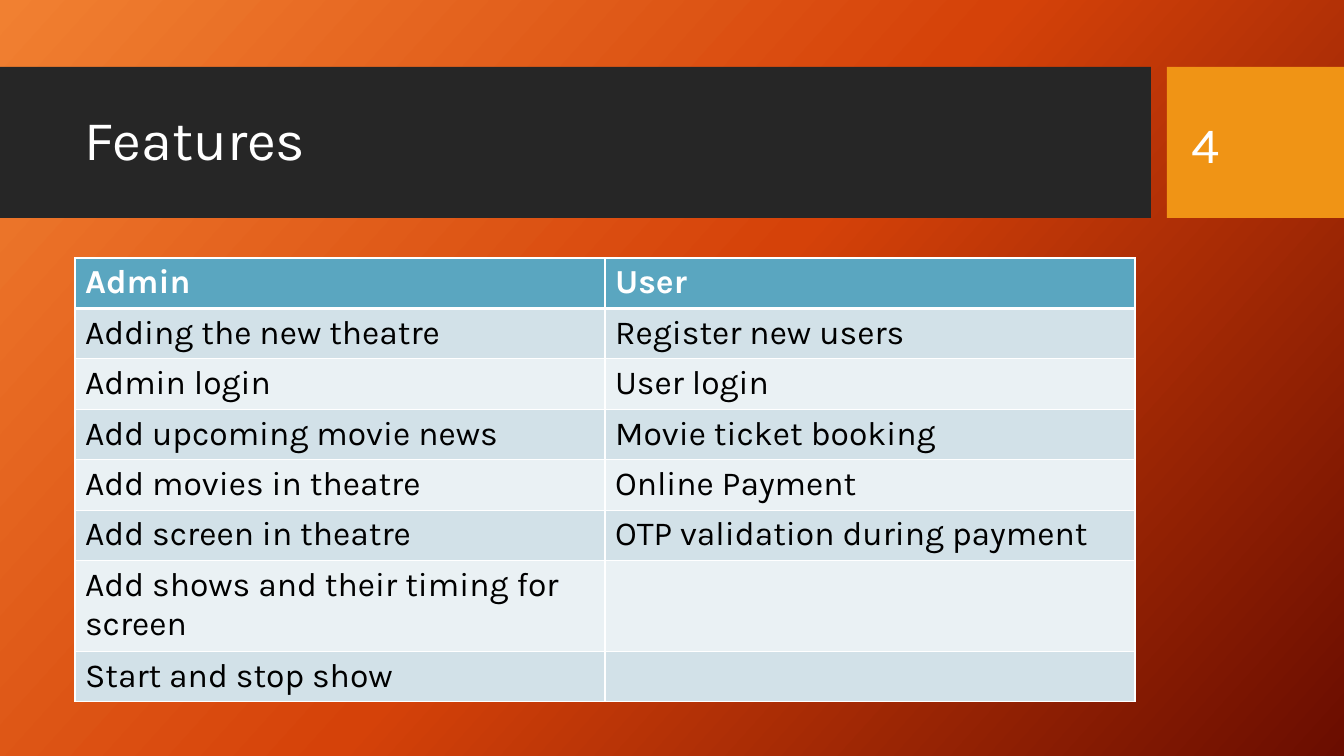
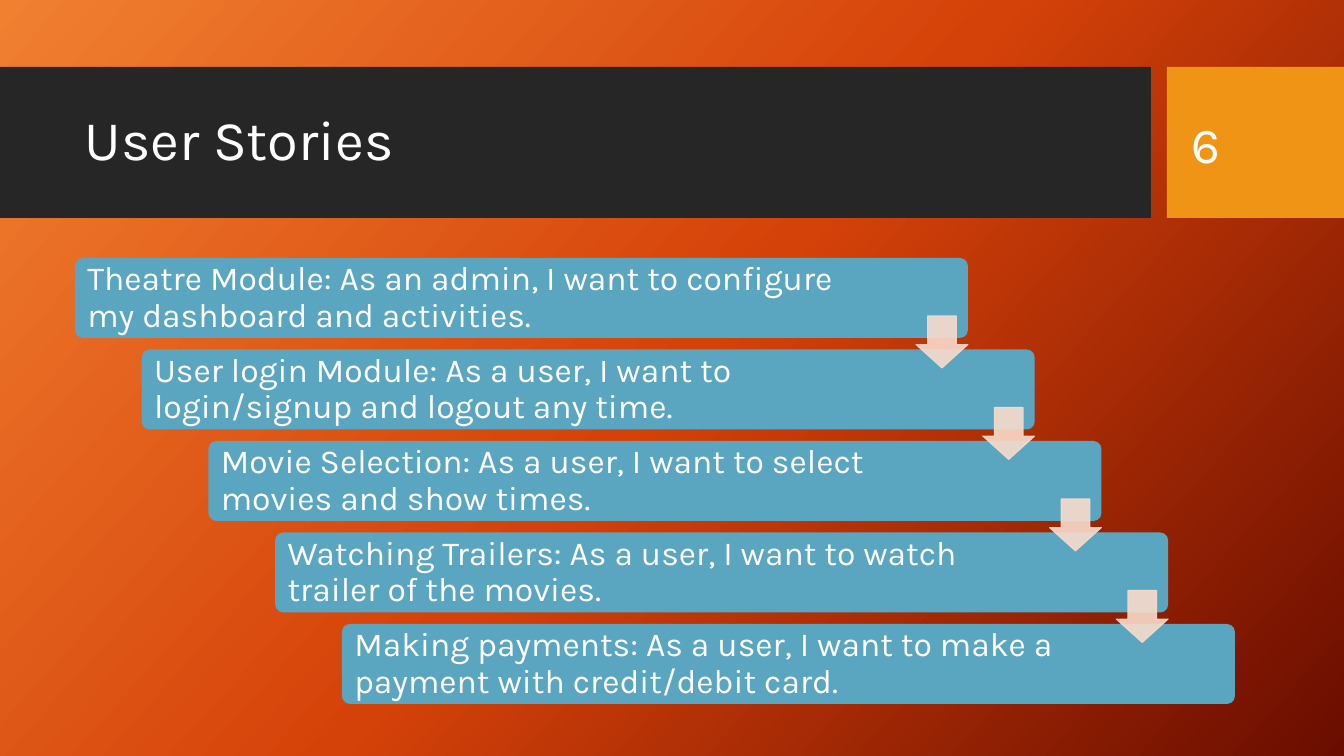
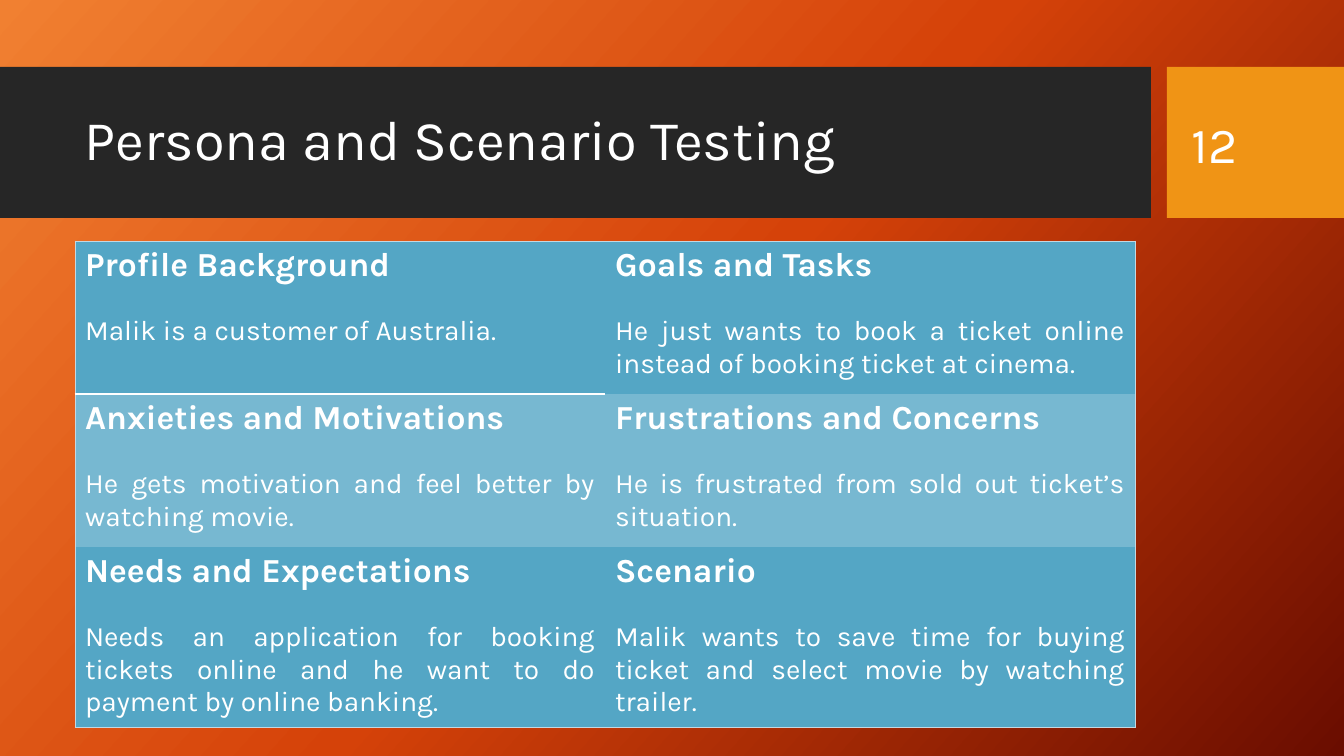
from copy import deepcopy
from dataclasses import dataclass

from lxml import etree
from pptx import Presentation
from pptx.dml.color import RGBColor
from pptx.enum.shapes import MSO_SHAPE
from pptx.enum.text import MSO_ANCHOR, PP_ALIGN
from pptx.oxml.ns import qn
from pptx.util import Emu, Pt

RECTANGLE = MSO_SHAPE.RECTANGLE
ROUNDED = MSO_SHAPE.ROUNDED_RECTANGLE
DOWN_ARROW = MSO_SHAPE.DOWN_ARROW
MIDDLE = MSO_ANCHOR.MIDDLE
LEFT = PP_ALIGN.LEFT
JUSTIFY = PP_ALIGN.JUSTIFY

FEATURES = [
    ("Admin", "User"),
    ("Adding the new theatre", "Register new users"),
    ("Admin login", "User login"),
    ("Add upcoming movie news", "Movie ticket booking"),
    ("Add movies in theatre", "Online Payment"),
    ("Add screen in theatre", "OTP validation during payment"),
    ("Add shows and their timing for screen", ""),
    ("Start and stop show", ""),
]

STORIES = [
    "Theatre Module: As an admin, I want to configure my dashboard and activities.",
    "User login Module: As a user, I want to login/signup and logout any time.",
    "Movie Selection: As a user, I want to select movies and show times.",
    "Watching Trailers: As a user, I want to watch trailer of the movies.",
    "Making payments: As a user, I want to make a payment with credit/debit card.",
]

PERSONA = [
    [
        ("Profile Background", "Malik is a customer of Australia."),
        ("Goals and Tasks",
         "He just wants to book a ticket online instead of booking ticket at cinema."),
    ],
    [
        ("Anxieties and Motivations",
         "He gets motivation and feel better by watching movie."),
        ("Frustrations and Concerns",
         "He is frustrated from sold out ticket’s situation."),
    ],
    [
        ("Needs and Expectations",
         "Needs an application for booking tickets online and he want to do "
         "payment by online banking."),
        ("Scenario",
         "Malik wants to save time for buying ticket and select movie by "
         "watching trailer."),
    ],
]


@dataclass(frozen=True)
class Theme:
    font: str = "Karla"
    white: str = "FFFFFF"
    black: str = "000000"
    band: str = "262626"
    badge: str = "F09415"
    teal: str = "5AA6C0"
    stripes: tuple = ("EAF1F4", "D2E1E8")
    persona_rows: tuple = ("54A6C5", "77B8D1")
    persona_edge: str = "C4D8E2"
    arrow: str = "F9DCCC"
    arrow_opacity: int = 90
    backdrop: tuple = ((0, "F18031"), (0.5, "D54209"), (1, "6A0D00"))
    backdrop_angle: int = 42
    title_size: int = 40
    number_size: int = 36
    text_size: int = 24
    detail_size: int = 20


THEME = Theme()
SLIDE_WIDTH, SLIDE_HEIGHT = 1344, 756
EMU_PER_PX = 12192000 / SLIDE_WIDTH
CONTENT_LEFT, CONTENT_WIDTH = 75, 1060
BAND_TOP, BAND_HEIGHT = 67, 151


def px(length):
    return Emu(round(length * EMU_PER_PX))


def place(*lengths):
    return [px(length) for length in lengths]


def rgb(colour):
    return RGBColor.from_string(colour)


def write(para, text, size=THEME.text_size, colour=THEME.white, bold=False,
          align=LEFT, line_spacing=None, before=0):
    para.alignment = align
    para.line_spacing = line_spacing
    para.space_before = Pt(before)
    span = para.add_run()
    span.text = text
    span.font.name = THEME.font
    span.font.size = Pt(size)
    span.font.bold = bold
    span.font.color.rgb = rgb(colour)


def add_text(slide, area, text, **text_format):
    frame = slide.shapes.add_textbox(*place(*area)).text_frame
    frame.word_wrap = True
    frame.vertical_anchor = MIDDLE
    write(frame.paragraphs[0], text, **text_format)


def add_box(slide, kind, area, colour, adjustments=()):
    box = slide.shapes.add_shape(kind, *place(*area))
    box.shadow.inherit = False
    box.fill.solid()
    box.fill.fore_color.rgb = rgb(colour)
    box.line.fill.background()
    for index, value in enumerate(adjustments):
        box.adjustments[index] = value
    return box


def paint_backdrop(master):
    fill = master.background.fill
    fill.gradient()
    fill.gradient_angle = 360 - THEME.backdrop_angle
    stops = next(master.element.iter(qn("a:gsLst")))
    stops.insert(1, deepcopy(stops[0]))
    for stop, (position, colour) in zip(fill.gradient_stops, THEME.backdrop):
        stop.position = position
        stop.color.rgb = rgb(colour)


def add_page(deck, title, number):
    page = deck.slides.add_slide(deck.slide_layouts[6])
    add_box(page, RECTANGLE, (0, BAND_TOP, 1151, BAND_HEIGHT), THEME.band)
    add_box(page, RECTANGLE, (1167, BAND_TOP, 177, BAND_HEIGHT), THEME.badge)
    add_text(page, (CONTENT_LEFT, 83, CONTENT_WIDTH, 119), title,
             size=THEME.title_size, line_spacing=0.9)
    add_text(page, (1182, 83, 127, 120), str(number), size=THEME.number_size)
    return page


def set_borders(cell, borders):
    """Draw the left, right, top and bottom (colour, points); None draws no line."""
    properties = cell._tc.get_or_add_tcPr()
    for index, (side, border) in enumerate(zip("LRTB", borders)):
        line = etree.Element(qn(f"a:ln{side}"))
        if border:
            colour, points = border
            line.set("w", str(Pt(points)))
            solid = etree.SubElement(line, qn("a:solidFill"))
            etree.SubElement(solid, qn("a:srgbClr"), val=colour)
        else:
            etree.SubElement(line, qn("a:noFill"))
        properties.insert(index, line)


def add_grid(page, top, row_heights, fill_cell, column_rule, row_rule):
    """Add a two-column table; the rules give the border on each grid line."""
    height = sum(row_heights)
    area = place(CONTENT_LEFT, top, CONTENT_WIDTH, height)
    table = page.shapes.add_table(len(row_heights), 2, *area).table
    for column in table.columns:
        column.width = px(CONTENT_WIDTH / 2)
    for row, row_height in enumerate(row_heights):
        table.rows[row].height = px(row_height)
        for column in range(2):
            cell = table.cell(row, column)
            cell.fill.solid()
            cell.fill.fore_color.rgb = rgb(fill_cell(cell, row, column))
            set_borders(cell, (column_rule(column), column_rule(column + 1),
                               row_rule(row, column), row_rule(row + 1, column)))


def build_features(deck):
    page = add_page(deck, "Features", 4)

    def fill_cell(cell, row, column):
        text = FEATURES[row][column]
        header = row == 0
        if text:
            write(cell.text_frame.paragraphs[0], text, bold=header,
                  colour=THEME.white if header else THEME.black)
        return THEME.teal if header else THEME.stripes[row % 2]

    add_grid(page, 258, [41] * len(FEATURES), fill_cell,
             column_rule=lambda line: (THEME.white, 1),
             row_rule=lambda line, column: (THEME.white, 3 if line == 1 else 1))


def build_stories(deck):
    page = add_page(deck, "User Stories", 6)
    first_left, first_top, last_left, last_top = 75, 258, 342, 624
    width, height, arrow_size, arrow_drop = 893, 80, 52, 58
    gaps = len(STORIES) - 1
    corners = [(first_left + (last_left - first_left) * step / gaps,
                first_top + (last_top - first_top) * step / gaps)
               for step in range(len(STORIES))]

    for (left, top), story in zip(corners, STORIES):
        card = add_box(page, ROUNDED, (left, top, width, height), THEME.teal, [0.1])
        frame = card.text_frame
        frame.word_wrap = True
        frame.vertical_anchor = MIDDLE
        frame.margin_left, frame.margin_right = place(10, 129)
        frame.margin_top = frame.margin_bottom = 0
        write(frame.paragraphs[0], story, line_spacing=0.9)

    for left, top in corners[:-1]:
        area = (left + width - arrow_size, top + arrow_drop, arrow_size, arrow_size)
        arrow = add_box(page, DOWN_ARROW, area, THEME.arrow, [0.55, 0.45])
        arrow.line.color.rgb = rgb(THEME.arrow)
        arrow.line.width = Pt(0.75)
        for colour in arrow.element.spPr.iter(qn("a:srgbClr")):
            etree.SubElement(colour, qn("a:alpha"),
                             val=str(THEME.arrow_opacity * 1000))


def build_persona(deck):
    page = add_page(deck, "Persona and Scenario Testing", 12)
    edge = (THEME.persona_edge, 0.75)

    def fill_cell(cell, row, column):
        heading, detail = PERSONA[row][column]
        frame = cell.text_frame
        write(frame.paragraphs[0], heading, bold=True, align=JUSTIFY)
        write(frame.add_paragraph(), detail, size=THEME.detail_size,
              align=JUSTIFY, before=21)
        return THEME.persona_rows[row % 2]

    def row_rule(line, column):
        if line in (0, len(PERSONA)):
            return edge
        return (THEME.white, 1.5) if (line, column) == (1, 0) else None

    add_grid(page, 241, [153, 153, 177], fill_cell,
             column_rule=lambda line: None if line == 1 else edge,
             row_rule=row_rule)


def main():
    deck = Presentation()
    deck.slide_width, deck.slide_height = place(SLIDE_WIDTH, SLIDE_HEIGHT)
    paint_backdrop(deck.slide_master)
    build_features(deck)
    build_stories(deck)
    build_persona(deck)
    deck.save("out.pptx")


if __name__ == "__main__":
    main()
